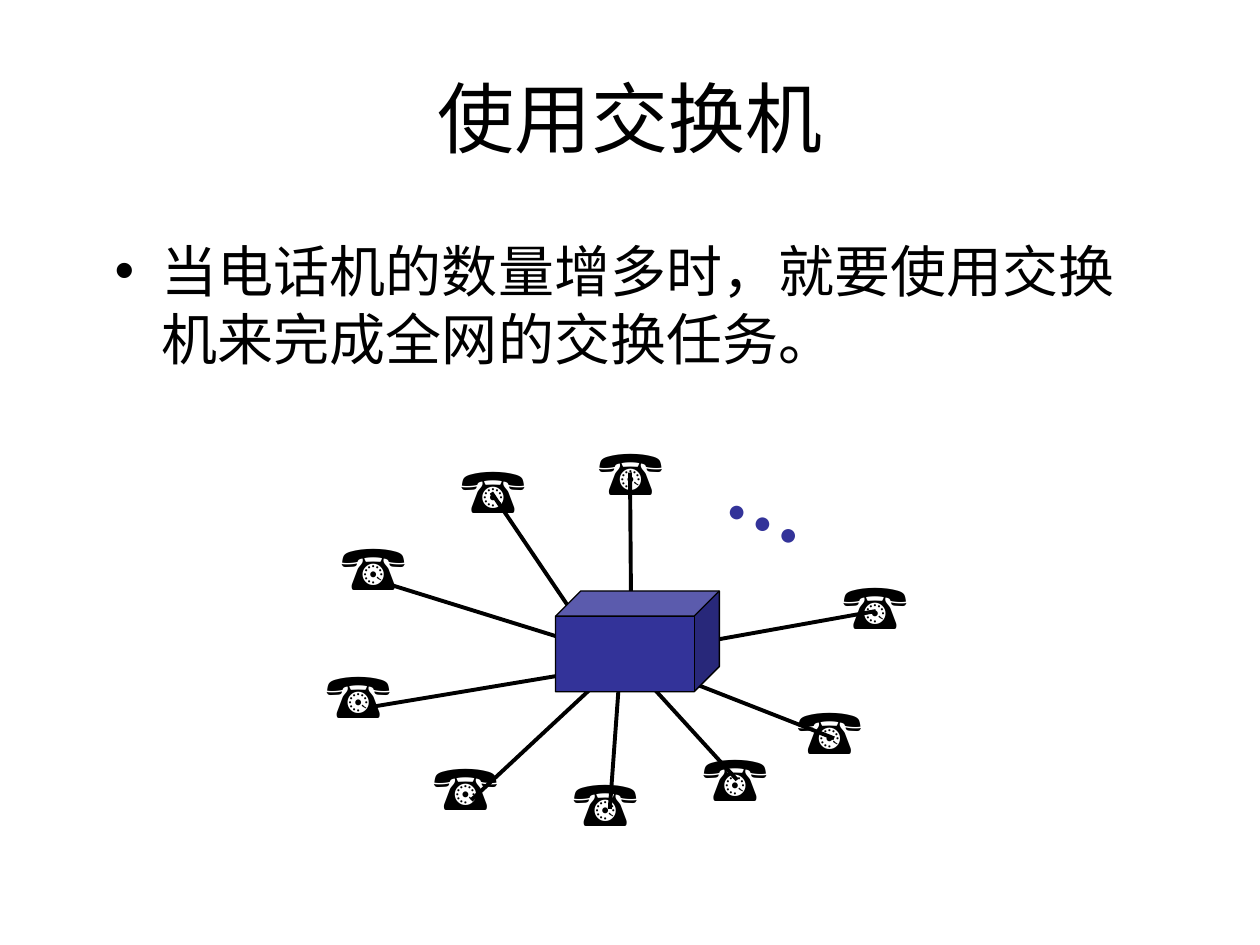
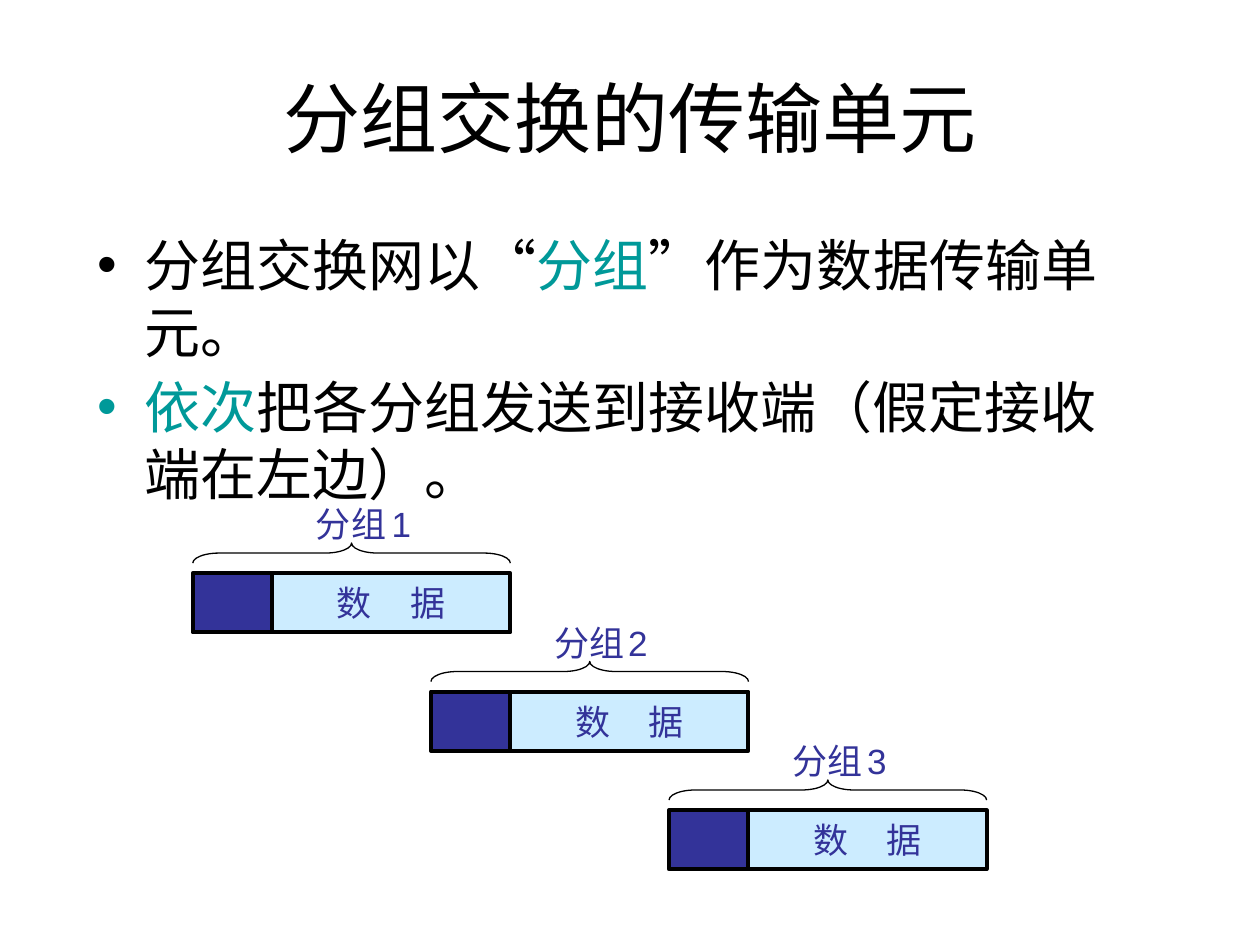
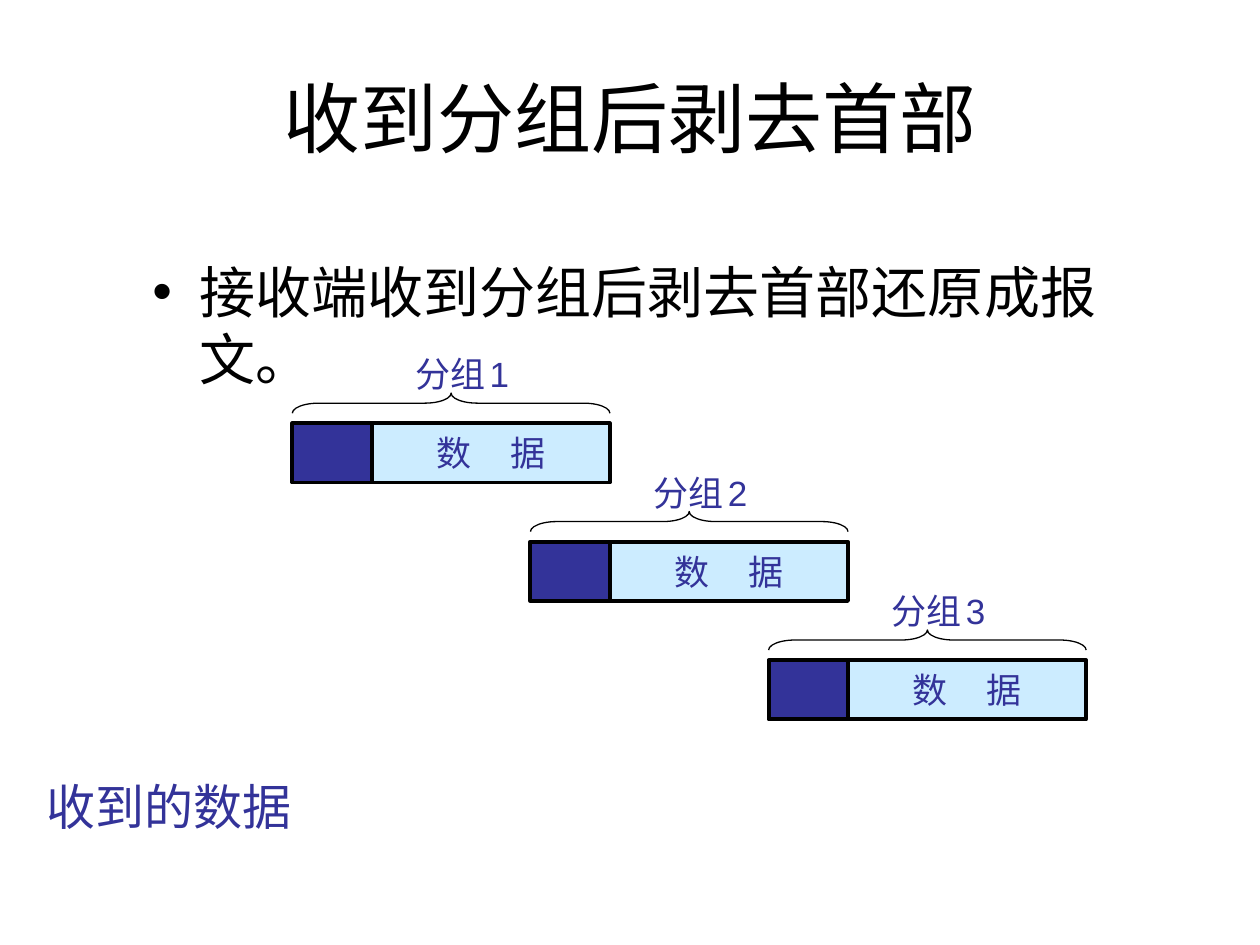
from dataclasses import dataclass

from lxml import etree
from pptx import Presentation
from pptx.dml.color import RGBColor
from pptx.enum.lang import MSO_LANGUAGE_ID
from pptx.enum.shapes import MSO_CONNECTOR, MSO_SHAPE
from pptx.enum.text import MSO_ANCHOR, MSO_AUTO_SIZE, PP_ALIGN
from pptx.oxml.ns import qn
from pptx.util import Inches, Pt

BLACK = RGBColor(0x00, 0x00, 0x00)
INDIGO = RGBColor(0x33, 0x33, 0x99)
SKY = RGBColor(0xCC, 0xEC, 0xFF)
TEAL = RGBColor(0x00, 0x99, 0x99)

CHINESE = MSO_LANGUAGE_ID.SIMPLIFIED_CHINESE
CENTER = PP_ALIGN.CENTER
LEFT = PP_ALIGN.LEFT
MIDDLE = MSO_ANCHOR.MIDDLE
NO_FIT = MSO_AUTO_SIZE.NONE
GROW = MSO_AUTO_SIZE.SHAPE_TO_FIT_TEXT
STRAIGHT = MSO_CONNECTOR.STRAIGHT
RECTANGLE = MSO_SHAPE.RECTANGLE
CUBE = MSO_SHAPE.CUBE
BRACE = MSO_SHAPE.LEFT_BRACE

TITLE_AREA = (0.5, 0.3, 9, 1.25)
HEADER_WIDTH, DATA_WIDTH, PACKET_HEIGHT = 0.63, 1.89, 0.47
PACKET_WIDTH = HEADER_WIDTH + DATA_WIDTH
BRACE_DEPTH = 0.16
PACKET_STEP = 0.94
PHONE_SIZE = (0.85, 0.7)
LABEL_SIZE = (1.1, 0.44)


@dataclass(frozen=True)
class Span:
    text: str
    size: float
    font: str = "Arial"
    color: RGBColor = BLACK
    bold: bool = False
    spacing: int = 0


@dataclass(frozen=True)
class Packet:
    number: int
    left: float
    top: float
    gap_size: float


@dataclass(frozen=True)
class Wire:
    start: tuple[float, float]
    end: tuple[float, float]


BACK_WIRES = [
    Wire((6.62, 5.86), (5.24, 5.32)),
    Wire((4.84, 6.42), (4.92, 5.32)),
    Wire((2.95, 5.61), (4.69, 5.32)),
    Wire((3.9, 3.91), (4.57, 4.9)),
]
BACK_PHONES = [(4.65, 3.38), (2.61, 4.14), (3.34, 5.88), (6.59, 4.45), (5.48, 5.81)]
FRONT_WIRES = [
    Wire((5.01, 5.01), (5, 3.75)),
    Wire((5.39, 5.13), (6.95, 4.85)),
    Wire((3.03, 4.62), (4.64, 5.12)),
    Wire((3.74, 6.35), (4.76, 5.4)),
    Wire((5.85, 6.19), (4.92, 5.17)),
]
FRONT_PHONES = [(2.49, 5.15), (3.56, 3.53), (4.45, 6.01), (6.23, 5.44)]


def body_span(text: str, color: RGBColor = BLACK) -> Span:
    return Span(text, 32, color=color)


def write_spans(para, spans: list[Span]) -> None:
    for span in spans:
        run = para.add_run()
        run.text = span.text
        formats = {
            "name": span.font,
            "size": Pt(span.size),
            "bold": span.bold,
            "language_id": CHINESE,
        }
        for name, value in formats.items():
            setattr(run.font, name, value)
        run.font.color.rgb = span.color
        if span.spacing:
            run._r.get_or_add_rPr().set("spc", str(span.spacing))


def place(shape, left: float, top: float, width: float, height: float) -> None:
    area = {"left": left, "top": top, "width": width, "height": height}
    for name, value in area.items():
        setattr(shape, name, Inches(value))


def format_bullet(para, color: RGBColor) -> None:
    properties = para._p.get_or_add_pPr()
    properties.set("hangingPunct", "0")
    bullet = etree.SubElement(properties, qn("a:buClr"))
    etree.SubElement(bullet, qn("a:srgbClr"), val=str(color))


def add_page(deck, title: str, body_area: tuple, bullets: list[list[Span]],
             space_before: float = 8):
    page = deck.slides.add_slide(deck.slide_layouts[1])
    heading, body = page.placeholders
    place(heading, *TITLE_AREA)
    heading.text_frame.vertical_anchor = MIDDLE
    heading.text_frame.auto_size = NO_FIT
    heading.text_frame.paragraphs[0].alignment = CENTER
    write_spans(heading.text_frame.paragraphs[0], [Span(title, 44)])

    place(body, *body_area)
    frame = body.text_frame
    frame.auto_size = NO_FIT
    for index, spans in enumerate(bullets):
        para = frame.add_paragraph() if index else frame.paragraphs[0]
        format_bullet(para, spans[0].color)
        para.space_before = Pt(space_before if index else 0)
        write_spans(para, spans)
    return page


def add_text(page, left: float, top: float, width: float, height: float,
             spans: list[Span], wrap: bool = False):
    box = page.shapes.add_textbox(*map(Inches, (left, top, width, height)))
    box.text_frame.word_wrap = wrap
    box.text_frame.auto_size = GROW
    para = box.text_frame.paragraphs[0]
    para.alignment = LEFT
    write_spans(para, spans)
    return box


def add_block(page, kind, left: float, top: float, width: float, height: float,
              fill: RGBColor | None, line_width: float):
    block = page.shapes.add_shape(kind, *map(Inches, (left, top, width, height)))
    block.shadow.inherit = False
    if fill is None:
        block.fill.background()
    else:
        block.fill.solid()
        block.fill.fore_color.rgb = fill
    block.line.color.rgb = BLACK
    block.line.width = Pt(line_width)
    return block


def add_wire(page, wire: Wire) -> None:
    line = page.shapes.add_connector(STRAIGHT, *map(Inches, wire.start + wire.end))
    line.line.color.rgb = BLACK
    line.line.width = Pt(2.25)
    etree.SubElement(line._element.spPr, qn("a:effectLst"))


def add_packet(page, packet: Packet) -> None:
    data = add_block(page, RECTANGLE, packet.left + HEADER_WIDTH, packet.top,
                     DATA_WIDTH, PACKET_HEIGHT, SKY, 2.25)
    data.text_frame.word_wrap = False
    data.text_frame.vertical_anchor = MIDDLE
    para = data.text_frame.paragraphs[0]
    para.alignment = CENTER
    write_spans(para, [
        Span("数", 20, "Karla", INDIGO),
        Span(" ", 20, "Karla", INDIGO, spacing=1750),
        Span("据", 20, "Karla", INDIGO),
    ])
    add_block(page, RECTANGLE, packet.left, packet.top,
              HEADER_WIDTH, PACKET_HEIGHT, INDIGO, 2.25)

    center_x = packet.left + PACKET_WIDTH / 2
    center_y = packet.top - BRACE_DEPTH
    brace = add_block(page, BRACE, center_x - BRACE_DEPTH / 2,
                      center_y - PACKET_WIDTH / 2, BRACE_DEPTH, PACKET_WIDTH, None, 0.75)
    brace.rotation = 90
    brace.adjustments[0] = 1.31
    add_text(page, packet.left + 0.88, packet.top - 0.61, *LABEL_SIZE, [
        Span("分组", 20, "Karla", INDIGO),
        Span(" ", packet.gap_size, color=INDIGO),
        Span(str(packet.number), 20, color=INDIGO),
    ], wrap=True)


def add_packets(page, left: float, top: float, gap_sizes: tuple) -> None:
    for index, gap_size in enumerate(gap_sizes):
        add_packet(page, Packet(index + 1, left + index * DATA_WIDTH,
                                top + index * PACKET_STEP, gap_size))


def build_switch_page(deck) -> None:
    page = add_page(deck, "使用交换机", (0.81, 1.83, 8.3, 4.63), [
        [body_span("当电话机的数量增多时，就要使用交换机来完成全网的交换任务。")],
    ])
    dots = add_text(page, 5.71, 3.51, 0.86, 0.9,
                    [Span("…", 48, "Times New Roman", INDIGO, bold=True)])
    dots.rotation = 24.3
    for wires, phones in ((BACK_WIRES, BACK_PHONES), (FRONT_WIRES, FRONT_PHONES)):
        for wire in wires:
            add_wire(page, wire)
        for left, top in phones:
            add_text(page, left, top, *PHONE_SIZE, [Span("☎", 36)])
    add_block(page, CUBE, 4.41, 4.69, 1.3, 0.8, INDIGO, 0.75)


def build_unit_page(deck) -> None:
    page = add_page(deck, "分组交换的传输单元", (0.67, 1.78, 8.5, 4.73), [
        [body_span("分组交换网以“"), body_span("分组", TEAL), body_span("”作为数据传输单元。")],
        [body_span("依次", TEAL), body_span("把各分组发送到接收端（假定接收端在左边）。")],
    ], space_before=4)
    add_packets(page, 1.53, 4.55, (14, 10, 12))


def build_receive_page(deck) -> None:
    page = add_page(deck, "收到分组后剥去首部", (1.11, 1.99, 8.39, 1.14), [
        [body_span("接收端收到分组后剥去首部还原成报文。")],
    ])
    add_packets(page, 2.32, 3.36, (10, 10, 10))
    add_text(page, 0.27, 6.11, 2.2, 0.57,
             [Span("收到的数据", 28, "Karla", INDIGO)], wrap=True)


def main() -> None:
    deck = Presentation()
    deck.slide_width = Inches(10)
    deck.slide_height = Inches(7.5)
    build_switch_page(deck)
    build_unit_page(deck)
    build_receive_page(deck)
    deck.save("out.pptx")


if __name__ == "__main__":
    main()
